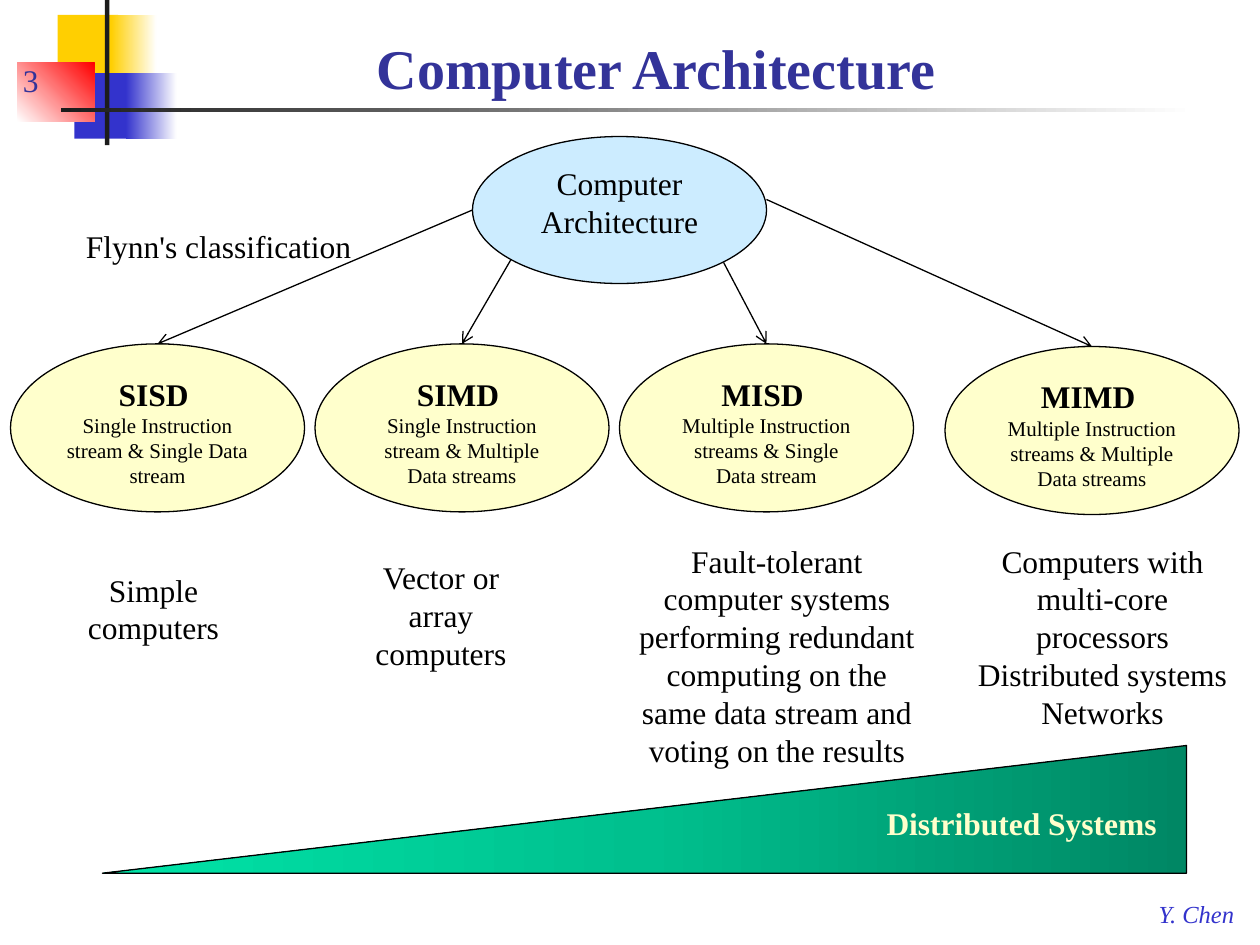
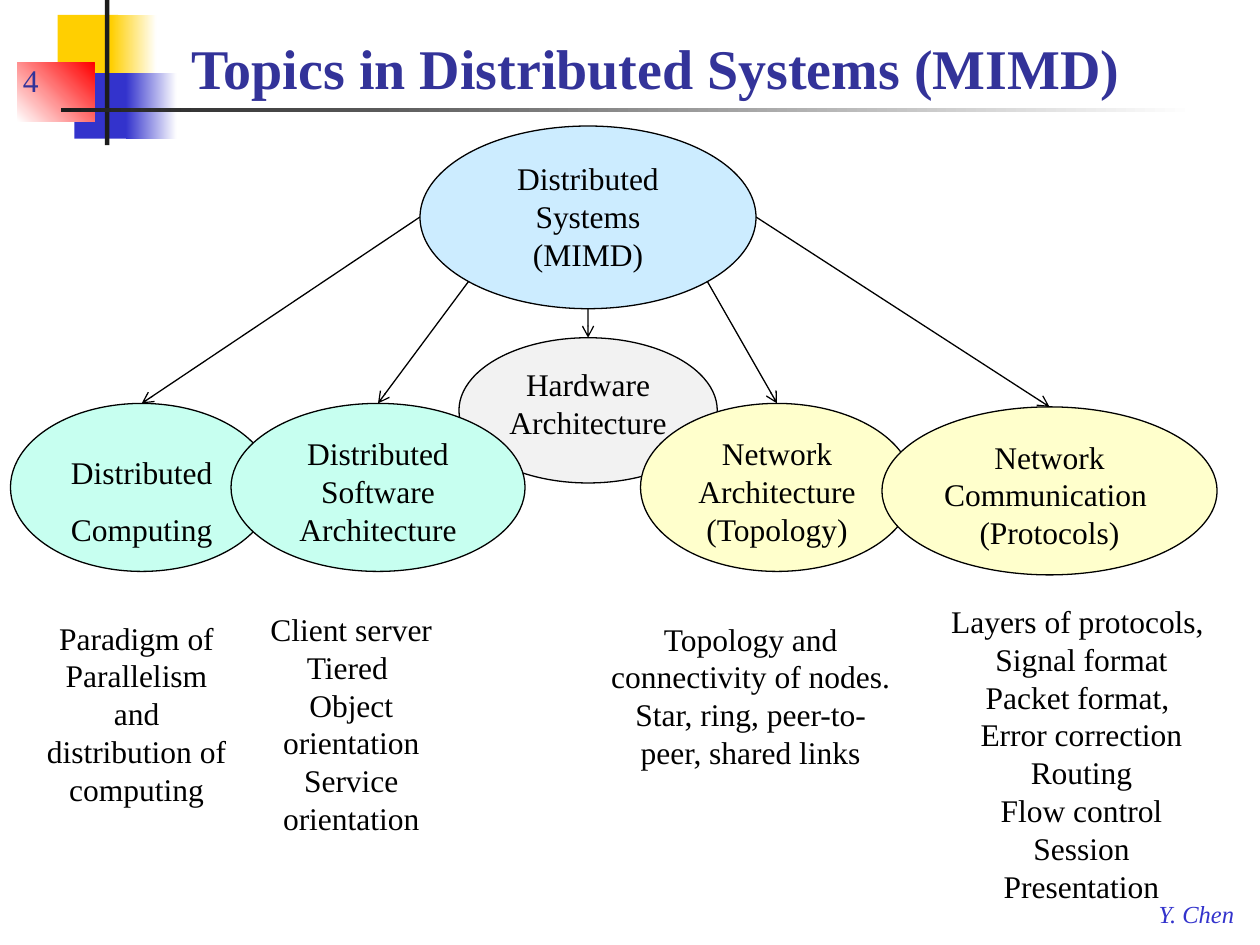
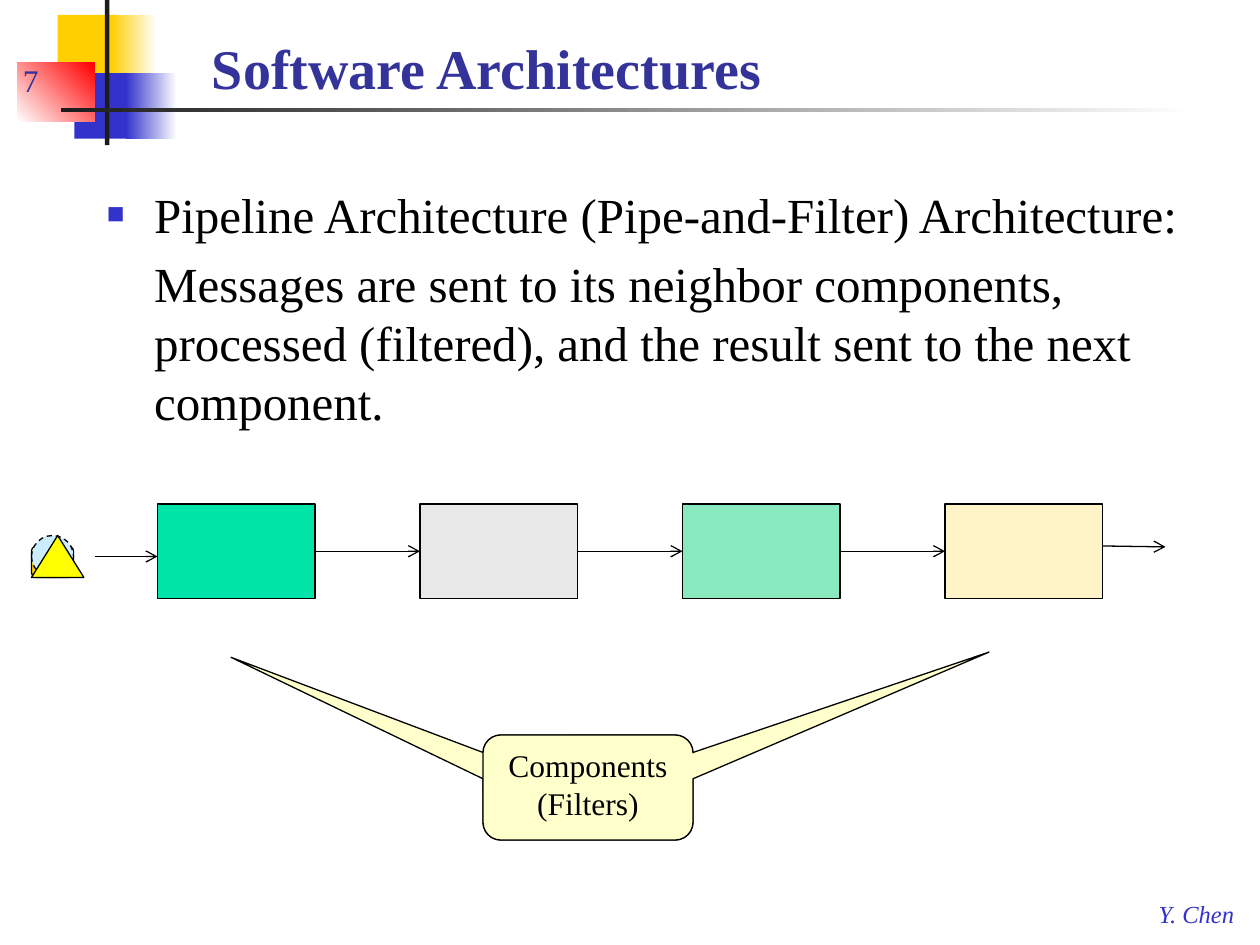
from lxml.etree import SubElement
from pptx import Presentation
from pptx.dml.color import RGBColor
from pptx.enum.dml import MSO_LINE
from pptx.enum.shapes import MSO_CONNECTOR, MSO_SHAPE
from pptx.enum.text import MSO_ANCHOR, PP_ALIGN
from pptx.oxml.ns import qn
from pptx.util import Pt

RECT, OVAL = MSO_SHAPE.RECTANGLE, MSO_SHAPE.OVAL
ROUND, TRI = MSO_SHAPE.ROUNDED_RECTANGLE, MSO_SHAPE.ISOSCELES_TRIANGLE
CALL = MSO_SHAPE.ROUNDED_RECTANGULAR_CALLOUT
STRAIGHT, DASH = MSO_CONNECTOR.STRAIGHT, MSO_LINE.DASH
LEFT, MID = PP_ALIGN.LEFT, PP_ALIGN.CENTER
TOP, LOW = MSO_ANCHOR.TOP, MSO_ANCHOR.BOTTOM

FONT = "Times New Roman"
BLACK, WHITE, INK = "000000", "FFFFFF", "1C1C1C"
GOLD, BLUE, NAVY, RED = "FFCF01", "3333CC", "333399", "FF0000"
SKY, CREAM, MINT, GRAY = "CCECFF", "FFFFCC", "C7FFF0", "F2F2F2"

DECOR = [
    ((33, 8.5, 34.5, 37.5), GOLD, 0),
    ((63.5, 8.5, 26, 37.5), (GOLD, WHITE), 0),
    ((42.5, 41.75, 33, 37.5), BLUE, 0),
    ((72, 41.75, 29, 37.5), (BLUE, WHITE), 0),
    ((10, 36, 44, 33.5), (WHITE, RED), 315),
    ((60, 0, 2.5, 83), INK, 0),
    ((35, 62, 648, 2.25), (INK, WHITE), 0),
]

FLYNN = {
    "title": "Computer Architecture", "number": "3",
    "root": ((270, 78, 168, 84), ["Computer Architecture"]),
    "nodes": [
        ((6, 196.5, 168, 96), CREAM, (270, 120),
         ["SISD ", "Single Instruction stream & Single Data stream"]),
        ((180, 196.5, 168, 96), CREAM, (294.5, 144),
         ["SIMD ", "Single Instruction stream & Multiple Data streams"]),
        ((354, 196.5, 168, 96), CREAM, (413.5, 150),
         ["MISD ", "Multiple Instruction streams & Single Data stream"]),
        ((540, 198, 168, 96), CREAM, (438, 114),
         ["MIMD ", "Multiple Instruction streams & Multiple Data streams"]),
    ],
    "styles": [{"size": Pt(18), "bold": True}, {"size": Pt(12)}],
    "notes": [
        ((24, 322.5, 127.5, 51), ["Simple computers"]),
        ((198, 315.5, 108, 73), ["Vector or array computers"]),
        ((354, 306, 180, 138),
         ["Fault-tolerant computer systems performing redundant computing "
          "on the same data stream and voting on the results"]),
        ((546, 306, 168, 117),
         ["Computers with multi-core processors", "Distributed systems",
          "Networks"]),
    ],
}
TOPICS = {
    "title": "Topics in Distributed Systems (MIMD)", "number": "4",
    "root": ((240, 72, 192, 104.4), ["Distributed Systems", "(MIMD)"]),
    "nodes": [
        ((262.25, 193, 147.6, 83), GRAY, (336, 176.4),
         ["Hardware Architecture"]),
        ((366, 230.5, 156, 96), CREAM, (404, 160.5),
         ["Network Architecture (Topology)"]),
        ((504, 232.5, 191.5, 96), CREAM, (432, 124),
         ["Network Communication \v(Protocols)"]),
        ((6, 230.5, 150, 96), MINT, (240, 124), ["Distributed Computing"]),
        ((132, 230.5, 168, 96), MINT, (268, 160.5),
         ["Distributed Software Architecture"]),
    ],
    "styles": [{}],
    "notes": [
        ((18, 350, 120, 117),
         ["Paradigm of", "Parallelism and distribution of computing"]),
        ((137, 345, 127.5, 138),
         ["Client server", "Tiered ", "Object orientation",
          "Service orientation"]),
        ((342, 350.5, 174, 94),
         ["Topology and connectivity of nodes. Star, ring, peer-to-peer, "
          "shared links"]),
        ((534, 340.5, 168, 181),
         ["Layers of protocols, ", "Signal format", "Packet format, ",
          "Error correction", "Routing", "Flow control", "Session",
          "Presentation"]),
    ],
}
WEDGE = [(678, 426), (678, 499), (58.5, 499)]
SHADES = ("008764", "00C08E", "00E4A8")
PIPE = [
    "Pipeline Architecture (Pipe-and-Filter) Architecture:",
    "Messages are sent to its neighbor components, processed (filtered), "
    "and the result sent to the next component.",
]
STAGES = ["00E4A8", "E8E8E8", "88E9BE", "FFF4C8"]
ENDS = [((54, 318), (90, 318)), ((630, 312), (666, 312.5))]
TOKENS = [
    (ROUND, (18, 312, 24, 18), GOLD),
    (OVAL, (18, 306, 24, 24), SKY),
    (TRI, (18, 306, 30, 24), "FFFF00"),
]
TAILS = [((-1.7, -1.24, 0.17), []),
         ((1.91, -1.29, 0.17), ["Components (Filters)"])]


def tint(code):
    return RGBColor.from_string(code)


def put(item, values):
    for key, value in values.items():
        setattr(item, key, value)


def paint(shape, fill, angle=0, edge=None):
    shape.shadow.inherit = False
    if isinstance(fill, str):
        shape.fill.solid()
        shape.fill.fore_color.rgb = tint(fill)
    else:
        shape.fill.gradient()
        grad = shape.element.spPr.find(qn("a:gradFill"))
        stops = grad.find(qn("a:gsLst"))
        stops.clear()
        for i, code in enumerate(fill):
            place = str(100000 * i // (len(fill) - 1))
            stop = SubElement(stops, qn("a:gs"), pos=place)
            SubElement(stop, qn("a:srgbClr"), val=code)
        grad.find(qn("a:lin")).set("ang", str(angle * 60000))
    if edge:
        shape.line.color.rgb = tint(edge)
        shape.line.width = Pt(0.75)
    else:
        shape.line.fill.background()


def write(shape, lines, styles=({},), color=BLACK, align=MID, anchor=TOP,
          wrap=True):
    frame = shape.text_frame
    put(frame, {"word_wrap": wrap, "vertical_anchor": anchor})
    for i, line in enumerate(lines):
        para = frame.add_paragraph() if i else frame.paragraphs[0]
        para.text = line
        para.alignment = align
        style = styles[min(i, len(styles) - 1)]
        for run in para.runs:
            put(run.font, {"name": FONT, "size": Pt(18), **style})
            run.font.color.rgb = tint(color)
    return frame.paragraphs


def draw(slide, kind, box, fill, angle=0, edge=BLACK):
    shape = slide.shapes.add_shape(kind, *map(Pt, box))
    paint(shape, fill, angle, edge)
    return shape


def label(slide, box, lines, **style):
    return write(slide.shapes.add_textbox(*map(Pt, box)), lines, **style)


def arrow(slide, start, end):
    link = slide.shapes.add_connector(STRAIGHT, *map(Pt, start + end))
    link.line.color.rgb = tint(BLACK)
    link.line.width = Pt(0.75)
    props = link.element.spPr
    SubElement(props.find(qn("a:ln")), qn("a:tailEnd"), type="arrow")
    SubElement(props, qn("a:effectLst"))


def start(deck, title, number, left=36, align=MID):
    slide = deck.slides.add_slide(deck.slide_layouts[6])
    for box, fill, angle in DECOR:
        draw(slide, RECT, box, fill, angle, None)
    label(slide, (655, 510, 59, 24), ["Y. Chen"], color=BLUE, align=LEFT,
          styles=[{"size": Pt(14), "italic": True}], wrap=False)
    label(slide, (left, 12, 714 - left, 49), [title], color=NAVY,
          align=align, anchor=LOW, styles=[{"size": Pt(32), "bold": True}])
    label(slide, (6, 24, 60, 36), [number], color=NAVY, align=LEFT,
          anchor=LOW)
    return slide


def tree(deck, plan):
    slide = start(deck, plan["title"], plan["number"])
    for box, fill, origin, lines in plan["nodes"]:
        x, y, w, h = box
        arrow(slide, origin, (x + w / 2, y))
        paras = write(draw(slide, OVAL, box, fill), lines, plan["styles"])
        if lines == ["Distributed Computing"]:
            paras[0].line_spacing = 1.5
    box, lines = plan["root"]
    write(draw(slide, OVAL, box, SKY), lines)
    for box, lines in plan["notes"]:
        label(slide, box, lines)
    return slide


deck = Presentation()
put(deck, {"slide_width": Pt(720), "slide_height": Pt(540)})

slide = tree(deck, FLYNN)
label(slide, (42, 126, 168, 29), ["Flynn's classification"], align=LEFT,
      wrap=False)
points = [(Pt(x), Pt(y)) for x, y in WEDGE]
pen = slide.shapes.build_freeform(*points[0])
pen.add_line_segments(points[1:], close=True)
paint(pen.convert_to_shape(), SHADES, 180, BLACK)
label(slide, (499.5, 456, 170.5, 29), ["Distributed Systems"], color=CREAM,
      align=LEFT, styles=[{"bold": True}], wrap=False)

tree(deck, TOPICS)

slide = start(deck, "Software Architectures", "7", 114, LEFT)
paras = label(slide, (54, 102, 651, 162), PIPE, align=LEFT,
              styles=[{"size": Pt(28)}])
for para in paras:
    para.space_before = Pt(5.6)
    para._p.get_or_add_pPr().set("marL", str(Pt(27)))
props = paras[0]._p.get_or_add_pPr()
props.set("indent", str(-Pt(27)))
SubElement(SubElement(props, qn("a:buClr")), qn("a:srgbClr"), val=BLUE)
SubElement(props, qn("a:buSzPct"), val="60000")
SubElement(props, qn("a:buFont"), typeface=FONT)
SubElement(props, qn("a:buChar"), char="■")

wide, step = 90, 150
for i, fill in enumerate(STAGES):
    x = 90 + i * step
    draw(slide, RECT, (x, 288, wide, 54), fill)
    if i:
        arrow(slide, (x - step + wide, 315), (x, 315))
for ends in ENDS:
    arrow(slide, *ends)
for kind, box, fill in TOKENS:
    token = draw(slide, kind, box, fill)
    if kind == OVAL:
        token.line.dash_style = DASH
for tail, lines in TAILS:
    call = draw(slide, CALL, (276, 420, 120, 60), CREAM)
    for i, value in enumerate(tail):
        call.adjustments[i] = value
    write(call, lines)

deck.save("out.pptx")
